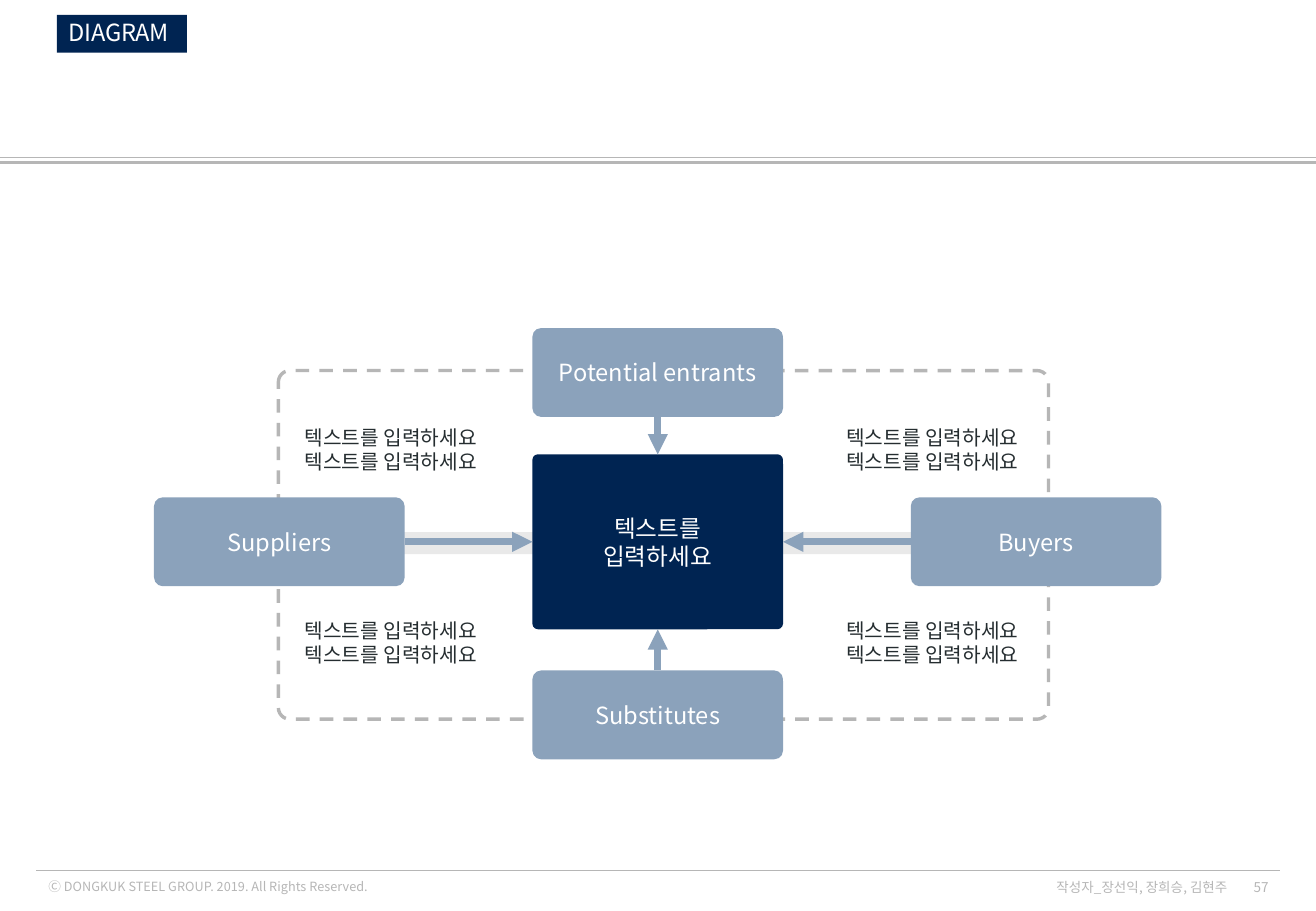
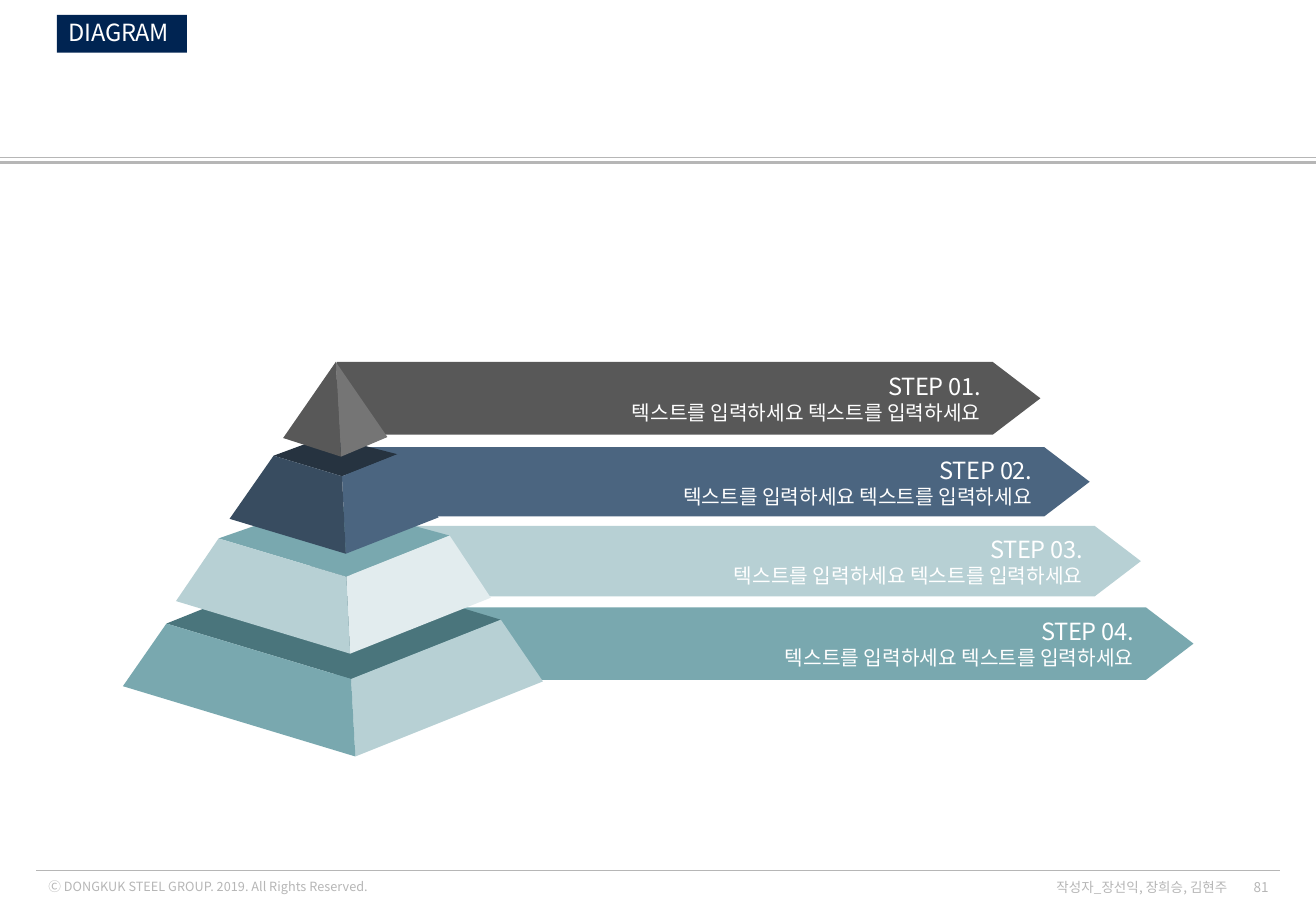
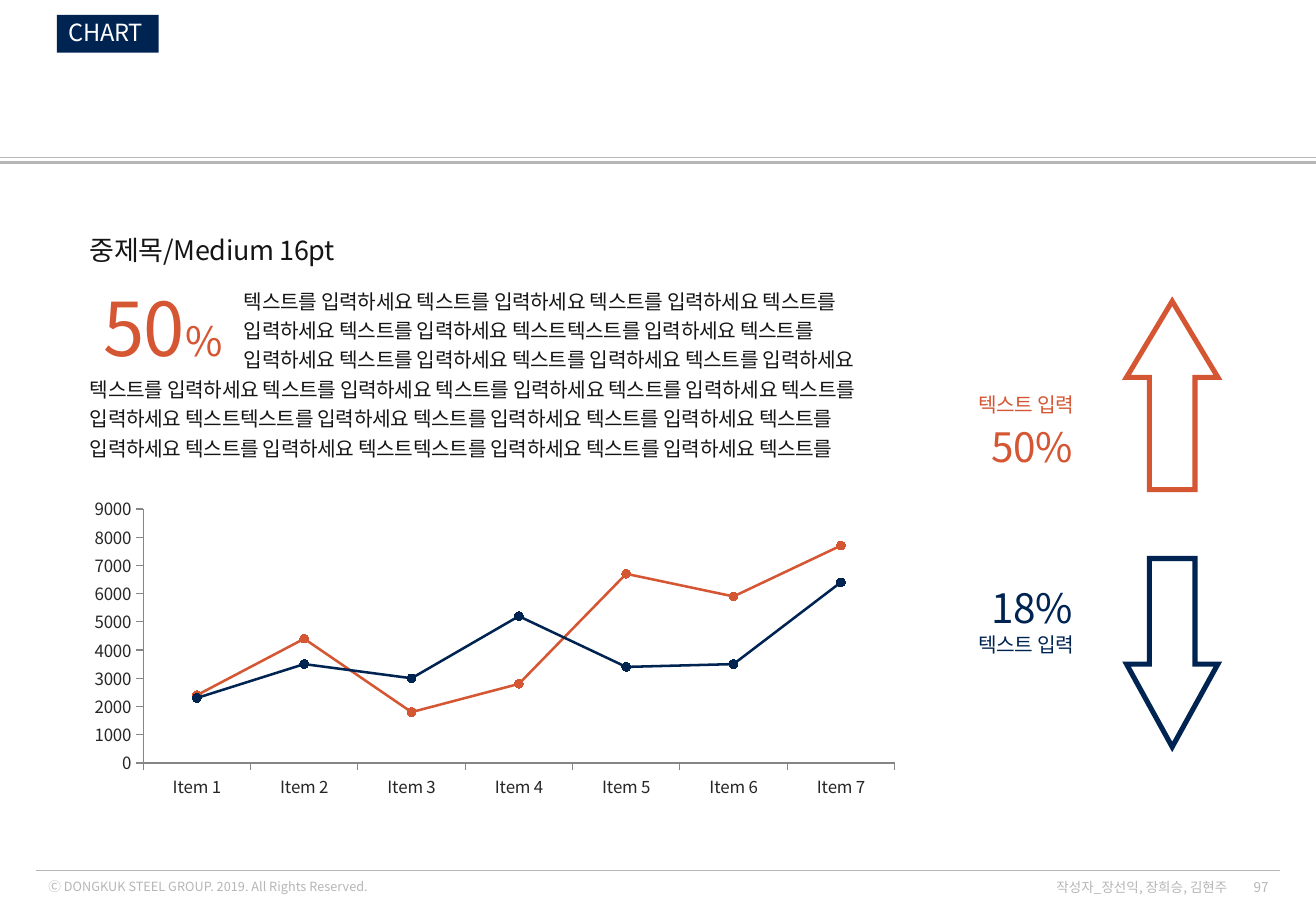
import lxml.etree
import pptx
import pptx.chart.data
import pptx.dml.color
import pptx.enum.chart
import pptx.enum.dml
import pptx.enum.shapes
import pptx.enum.text
import pptx.oxml.ns
import pptx.shapes.connector
import pptx.util

NAVY = pptx.dml.color.RGBColor(0x00, 0x24, 0x52)
WHITE = pptx.dml.color.RGBColor(0xFF, 0xFF, 0xFF)
GREY = pptx.dml.color.RGBColor(0xB6, 0xB6, 0xB6)
PALE = pptx.dml.color.RGBColor(0xE9, 0xE9, 0xE9)
BLUE = pptx.dml.color.RGBColor(0x8B, 0xA2, 0xBB)
INK = pptx.dml.color.RGBColor(0x25, 0x2D, 0x30)
BLACK = pptx.dml.color.RGBColor(0x16, 0x15, 0x16)
RED = pptx.dml.color.RGBColor(0xD5, 0x56, 0x33)
COAL = pptx.dml.color.RGBColor(0x58, 0x58, 0x58)
ASH = pptx.dml.color.RGBColor(0x75, 0x75, 0x75)
STEEL = pptx.dml.color.RGBColor(0x4B, 0x65, 0x80)
SLATE = pptx.dml.color.RGBColor(0x38, 0x4C, 0x60)
NIGHT = pptx.dml.color.RGBColor(0x26, 0x33, 0x40)
MIST = pptx.dml.color.RGBColor(0xB7, 0xD0, 0xD4)
ICE = pptx.dml.color.RGBColor(0xE2, 0xEC, 0xEE)
TEAL = pptx.dml.color.RGBColor(0x79, 0xA8, 0xAF)
DEEP = pptx.dml.color.RGBColor(0x4A, 0x75, 0x7C)
AXIS = pptx.dml.color.RGBColor(0x86, 0x86, 0x86)
DARK = pptx.dml.color.RGBColor(0x26, 0x26, 0x26)

FONT = "Noto Sans CJK KR"
ASK = "텍스트를 입력하세요"
KIND = pptx.enum.shapes.MSO_SHAPE
LEFT = pptx.enum.text.PP_ALIGN.LEFT
MID = pptx.enum.text.PP_ALIGN.CENTER
RIGHT = pptx.enum.text.PP_ALIGN.RIGHT
TOP = pptx.enum.text.MSO_ANCHOR.TOP
HALF = pptx.enum.text.MSO_ANCHOR.MIDDLE
LINE = pptx.enum.shapes.MSO_CONNECTOR.STRAIGHT
qn = pptx.oxml.ns.qn


def paint(shape, fill, line=None, width=0):
    shape.shadow.inherit = False
    if fill is None:
        shape.fill.background()
    else:
        shape.fill.solid()
        shape.fill.fore_color.rgb = fill
    if line is None:
        shape.line.fill.background()
    else:
        shape.line.color.rgb = line
        shape.line.width = pptx.util.Pt(width)


def write(shape, rows, color, align=LEFT, anchor=HALF, space=None, track=0):
    frame = shape.text_frame
    frame.word_wrap = True
    frame.vertical_anchor = anchor
    frame.text = "\n".join(row[0][0] for row in rows)
    for para, row in zip(frame.paragraphs, rows):
        para.alignment = align
        para.line_spacing = space
        for text, size in row[1:]:
            para.add_run().text = text
        for run, (text, size) in zip(para.runs, row):
            run.font.name = FONT
            run.font.size = pptx.util.Pt(size)
            run.font.color.rgb = color
            mark = run.font._element
            mark.set("spc", str(track))
            lxml.etree.SubElement(mark, qn("a:ea")).set("typeface", FONT)


deck = pptx.Presentation()
deck.slide_width = pptx.util.Cm(27.51)
deck.slide_height = pptx.util.Cm(19.05)

slides = []
for title, width, page in [("DIAGRAM", 2.72, "57"), ("DIAGRAM", 2.72, "81"), ("CHART", 2.13, "97")]:
    slide = deck.slides.add_slide(deck.slide_layouts[6])
    slides.append(slide)
    for x1, x2, y, weight in [(0, 27.51, 3.4, 1.5), (0, 27.51, 3.3, 0.5), (0.76, 26.75, 18.21, 0.5)]:
        rule = slide.shapes.add_connector(LINE, *map(pptx.util.Cm, (x1, y, x2, y)))
        rule.line.color.rgb = GREY
        rule.line.width = pptx.util.Pt(weight)
    tag = slide.shapes.add_shape(KIND.RECTANGLE, *map(pptx.util.Cm, (1.19, 0.31, width, 0.79)))
    paint(tag, NAVY)
    write(tag, [[(title, 14)]], WHITE, space=0.9, track=-20)
    for area, text, size, align in [
        ((0.76, 18.24, 8.81, 0.58), "Ⓒ DONGKUK STEEL GROUP. 2019. All Rights Reserved.", 7.5, LEFT),
        ((25.73, 18.34, 1.04, 0.41), page, 8, RIGHT),
        ((21.64, 18.34, 4.27, 0.41), "작성자_장선익, 장희승, 김현주", 8, RIGHT),
    ]:
        note = slide.shapes.add_textbox(*map(pptx.util.Cm, area))
        write(note, [[(text, size)]], GREY, align)

forces, steps, trend = slides

ring = forces.shapes.add_shape(KIND.ROUNDED_RECTANGLE, *map(pptx.util.Cm, (5.82, 7.75, 16.1, 7.29)))
ring.adjustments[0] = 0.033
paint(ring, None, GREY, 2)
ring.line.dash_style = pptx.enum.dml.MSO_LINE.DASH
band = forces.shapes.add_shape(KIND.ROUNDED_RECTANGLE, *map(pptx.util.Cm, (6.05, 11.13, 15.62, 0.46)))
band.adjustments[0] = 0.02
paint(band, PALE)

core = forces.shapes.add_shape(KIND.ROUNDED_RECTANGLE, *map(pptx.util.Cm, (11.13, 9.5, 5.24, 3.66)))
core.adjustments[0] = 0.032
paint(core, NAVY)
write(core, [[(ASK, 14)]], WHITE, MID)
core.text_frame.margin_left = core.text_frame.margin_right = pptx.util.Cm(0.63)

for label, x, y, site in [
    ("Potential entrants", 11.13, 6.86, 2),
    ("Substitutes", 11.13, 14.02, 0),
    ("Suppliers", 3.22, 10.4, 3),
    ("Buyers", 19.04, 10.4, 1),
]:
    box = forces.shapes.add_shape(KIND.ROUNDED_RECTANGLE, *map(pptx.util.Cm, (x, y, 5.24, 1.86)))
    box.adjustments[0] = 0.099
    paint(box, BLUE)
    write(box, [[(label, 14)]], WHITE, MID)
    arrow = forces.shapes.add_connector(LINE, 0, 0, 0, 0)
    arrow.begin_connect(box, site)
    arrow.end_connect(core, (site + 2) % 4)
    arrow.line.color.rgb = BLUE
    arrow.line.width = pptx.util.Pt(4)
    lxml.etree.SubElement(arrow.line._get_or_add_ln(), qn("a:tailEnd")).set("type", "triangle")

for x, align in [(17.25, RIGHT), (6.27, LEFT)]:
    for y in (8.79, 12.83):
        note = forces.shapes.add_textbox(*map(pptx.util.Cm, (x, y, 4.14, 1.04)))
        write(note, [[(ASK, 12)]] * 2, INK, align, TOP)
        frame = note.text_frame
        frame.margin_left = frame.margin_right = pptx.util.Cm(0.1)
        frame.margin_top = frame.margin_bottom = pptx.util.Cm(0.1)

bars = [
    (7.04, 7.57, 14.71, 1.52, COAL),
    (7.24, 9.35, 15.54, 1.45, STEEL),
    (7.24, 11, 16.61, 1.47, MIST),
    (6.99, 12.7, 17.96, 1.52, TEAL),
]
for rank, (*area, color) in enumerate(bars, 1):
    bar = steps.shapes.add_shape(KIND.RIGHT_ARROW, *map(pptx.util.Cm, area))
    bar.adjustments[0] = 1
    bar.adjustments[1] = 0.655
    paint(bar, color)
    write(bar, [[(f"STEP {rank:02}.", 14)], [(f"{ASK} {ASK}", 12)]], WHITE, RIGHT)
    bar.text_frame.paragraphs[0].runs[0].font._element.set("spc", "-20")

tiers = [
    ((348, 1304), (660, 1179), (1047, 1296), (734, 1420),
     (257, 1435), (743, 1582), (1135, 1425), DEEP, MIST, TEAL),
    ((457, 1126), (678, 1049), (940, 1120), (724, 1206),
     (368, 1257), (732, 1367), (1026, 1250), TEAL, ICE, MIST),
    ((572, 953), (683, 912), (831, 950), (715, 996),
     (480, 1085), (723, 1158), (917, 1082), NIGHT, STEEL, SLATE),
    ((702, 757), (702, 757), (702, 757), (702, 757),
     (592, 916), (713, 955), (810, 914), None, ASH, COAL),
]
for west, back, east, front, left, foot, right, lid, light, shade in tiers:
    for color, spots in [
        (lid, [west, back, east, front]),
        (light, [east, front, foot, right]),
        (shade, [front, foot, left, west]),
    ]:
        if color is not None:
            path = steps.shapes.build_freeform(*spots[0], scale=pptx.util.Cm(0.01))
            path.add_line_segments(spots[1:], close=True)
            paint(path.convert_to_shape(), color)

for kind, y, head, color in [(KIND.UP_ARROW, 6.3, 0.833, RED), (KIND.DOWN_ARROW, 11.68, 0.907, NAVY)]:
    arrow = trend.shapes.add_shape(kind, *map(pptx.util.Cm, (23.55, y, 1.91, 3.94)))
    arrow.adjustments[0] = 0.5
    arrow.adjustments[1] = head
    paint(arrow, None, color, 3)
    lxml.etree.SubElement(arrow.line._get_or_add_ln(), qn("a:miter")).set("lim", "800000")

five = " ".join([ASK] * 5)
lead = f"{five} 텍스트{five}"
body = f"{lead} 텍스트{ASK} {ASK} 텍스트를"
for area, row, color, align, anchor in [
    ((20.29, 8.53, 2.59, 1.4), [("50%", 24)], RED, MID, HALF),
    ((20.29, 11.89, 2.59, 1.4), [("18%", 24)], NAVY, MID, HALF),
    ((18.47, 7.98, 4.24, 0.86), [("텍스트 입력", 12)], RED, RIGHT, TOP),
    ((18.47, 13, 4.24, 0.86), [("텍스트 입력", 12)], NAVY, RIGHT, TOP),
    ((1.83, 5.69, 3.15, 1.93), [("50", 44), ("%", 24)], RED, MID, HALF),
    ((4.85, 5.82, 14.2, 2.11), [(lead, 12)], BLACK, LEFT, TOP),
    ((1.63, 7.67, 17.42, 2.67), [(body, 12)], BLACK, LEFT, TOP),
    ((1.63, 4.62, 6.99, 1.02), [("중제목/Medium 16pt", 16)], BLACK, LEFT, TOP),
]:
    note = trend.shapes.add_textbox(*map(pptx.util.Cm, area))
    write(note, [row], color, align, anchor, 1.2, -20)

data = pptx.chart.data.CategoryChartData()
data.categories = [f"Item {rank}" for rank in range(1, 8)]
data.add_series("Series 1", (2400, 4400, 1800, 2800, 6700, 5900, 7700))
data.add_series("Series 2", (2300, 3500, 3000, 5200, 3400, 3500, 6400))
chart = trend.shapes.add_chart(
    pptx.enum.chart.XL_CHART_TYPE.LINE_MARKERS,
    *map(pptx.util.Cm, (1.63, 10.26, 17.42, 6.58)), data).chart
chart.has_legend = False
chart.has_title = False
chart.font.name = FONT
chart.font.size = pptx.util.Pt(10)
chart.font.color.rgb = DARK
chart.plots[0].vary_by_categories = False
for axis in (chart.category_axis, chart.value_axis):
    axis.has_major_gridlines = False
    axis.major_tick_mark = pptx.enum.chart.XL_TICK_MARK.OUTSIDE
    axis.format.line.color.rgb = AXIS
    axis.format.line.width = pptx.util.Pt(0.75)
chart.value_axis.minimum_scale = 0
chart.value_axis.maximum_scale = 9000
chart.value_axis.major_unit = 1000
for plot, color in zip(chart.plots[0].series, (RED, NAVY)):
    plot.smooth = False
    plot.format.line.color.rgb = color
    plot.format.line.width = pptx.util.Pt(1.5)
    plot.marker.style = pptx.enum.chart.XL_MARKER_STYLE.CIRCLE
    plot.marker.size = 5
    plot.marker.format.fill.solid()
    plot.marker.format.fill.fore_color.rgb = color
    plot.marker.format.line.color.rgb = color

for slide in slides:
    for shape in slide.shapes:
        if isinstance(shape, pptx.shapes.connector.Connector):
            lxml.etree.SubElement(shape._element.spPr, qn("a:effectLst"))

deck.save("out.pptx")
